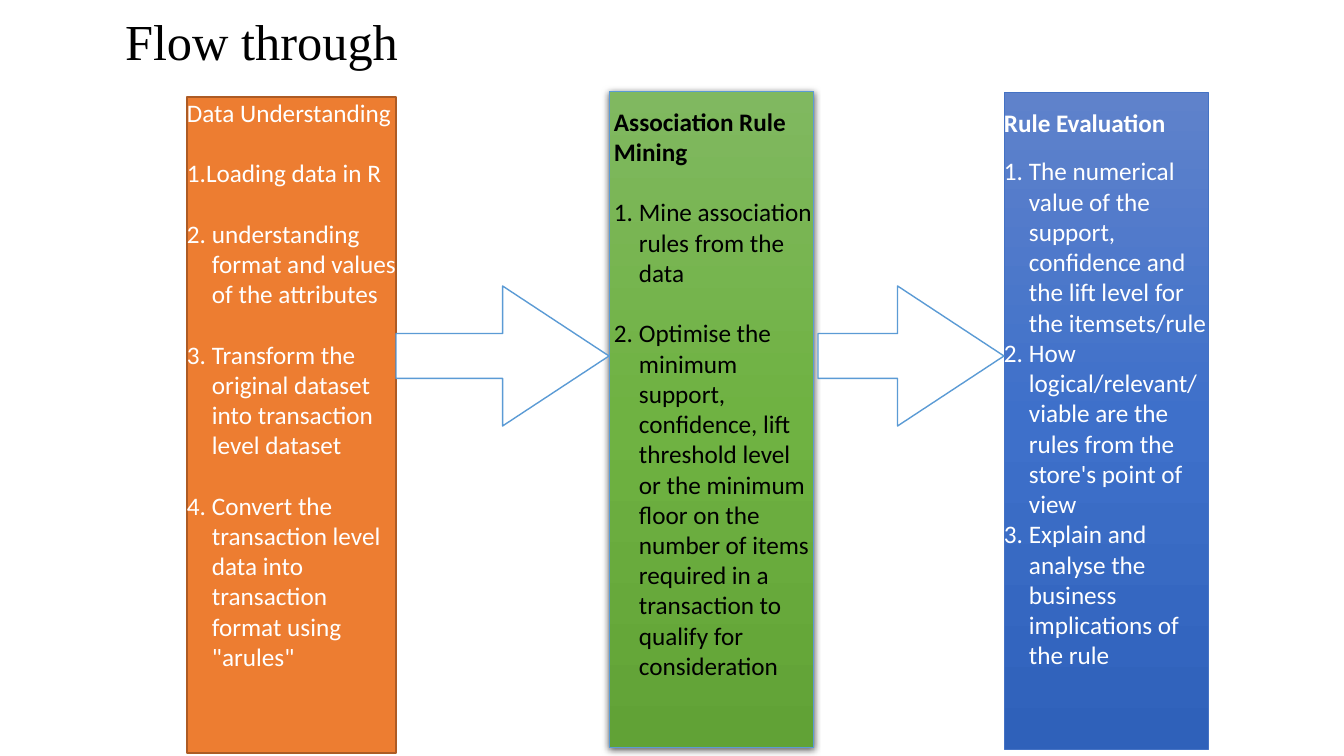
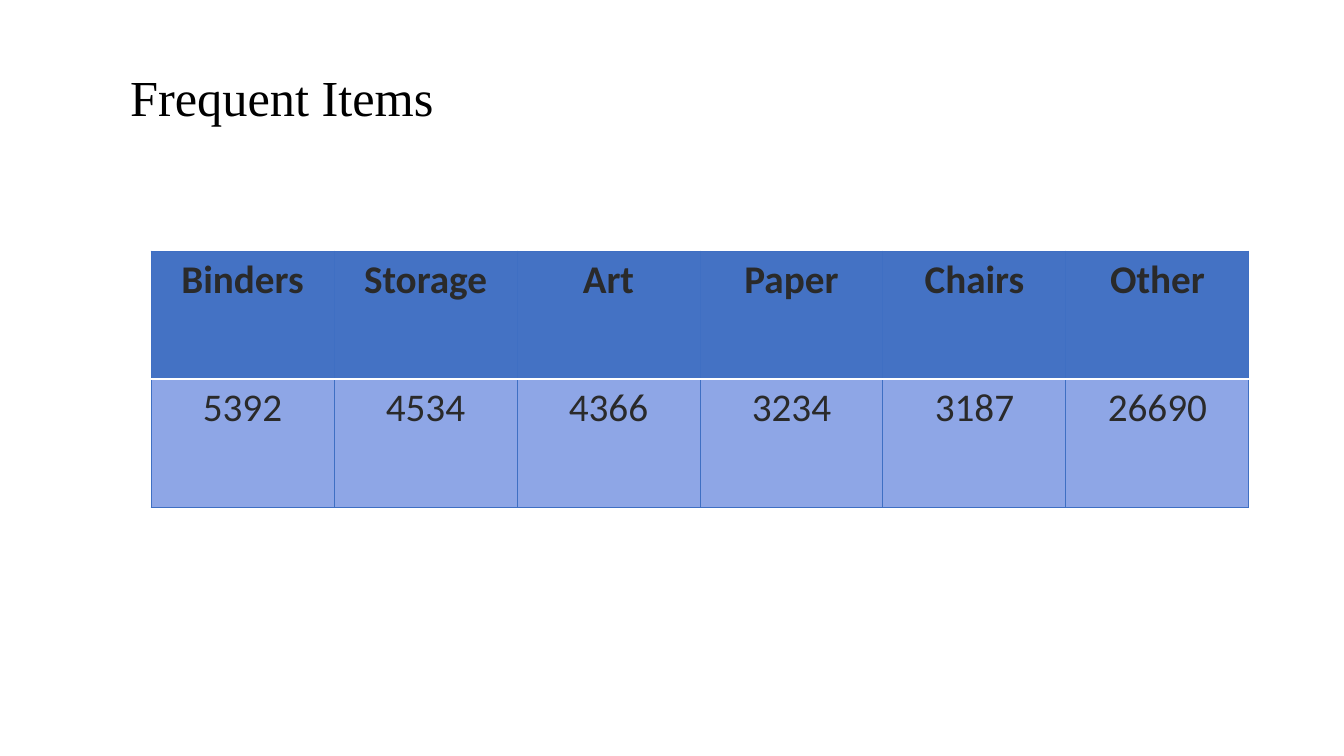
from copy import deepcopy

from lxml.etree import SubElement
from pptx import Presentation
from pptx.dml.color import RGBColor
from pptx.enum.shapes import MSO_SHAPE
from pptx.enum.text import MSO_ANCHOR, MSO_AUTO_SIZE, PP_ALIGN
from pptx.oxml.ns import qn
from pptx.util import Emu, Pt

SCALE = 914400 / 100.8
WHITE = RGBColor(0xFF, 0xFF, 0xFF)
BLACK = RGBColor(0, 0, 0)
ORANGE = RGBColor(0xED, 0x7D, 0x31)
BROWN = RGBColor(0xAD, 0x5B, 0x24)
GREENS = [RGBColor(0x80, 0xB8, 0x60), RGBColor(0x6F, 0xB2, 0x42), RGBColor(0x61, 0xA2, 0x36)]
BLUES = [RGBColor(0x5F, 0x82, 0xCB), RGBColor(0x3E, 0x70, 0xCA), RGBColor(0x2F, 0x61, 0xBA)]
SKY = RGBColor(0x5B, 0x9B, 0xD5)
BLUE = RGBColor(0x44, 0x72, 0xC4)
PALE_BLUE = RGBColor(0x8E, 0xA6, 0xE6)
GRID = RGBColor(0x3F, 0x6F, 0xC3)
INK = RGBColor(0x2A, 0x2A, 0x2A)


def px(*lengths):
    """Turn pixel lengths into a list of EMU."""
    return [Emu(round(n * SCALE)) for n in lengths]


def add_titled_slide(text, box, inset):
    """Add a title-only slide and place and format its title."""
    s = prs.slides.add_slide(prs.slide_layouts[5])
    title = s.shapes.title
    title.left, title.top, title.width, title.height = px(*box)
    tf = title.text_frame
    tf.text = text
    tf.word_wrap = True
    tf.auto_size = MSO_AUTO_SIZE.NONE
    tf.vertical_anchor = MSO_ANCHOR.MIDDLE
    tf.margin_left = tf.margin_right = tf.margin_top = tf.margin_bottom = px(inset)[0]
    p = tf.paragraphs[0]
    p.alignment = PP_ALIGN.LEFT
    p.line_spacing = 0.9
    font = p.runs[0].font
    font.name, font.size, font.color.rgb = "Times New Roman", Pt(36), BLACK
    return s


prs = Presentation()
prs.slide_width, prs.slide_height = px(1344, 756)

# Slide 1: three stages joined by arrows
s = add_titled_slide("Flow through", (125, 1, 1027, 86), 0)

# panel box, text box, fills, line, line width, text colour, bold heading,
# gap after heading, gap between items, heading, items
stages = [
    ((187, 97, 209, 656), (187, 97, 210, 611), [ORANGE], BROWN, 1, WHITE, False, 21.6, 21.6,
     "Data Understanding",
     ["Loading data in R",
      "understanding format and values of the attributes",
      "Transform the original dataset into transaction level dataset",
      "Convert the transaction level data into transaction format using \"arules\""]),
    ((609, 91, 204, 656), (614, 106, 204, 581), GREENS, SKY, 0.5, BLACK, True, 21.6, 21.6,
     "Association Rule Mining",
     ["Mine association rules from the data",
      "Optimise the minimum support, confidence, lift threshold level or the minimum "
      "floor on the number of items required in a transaction to qualify for consideration"]),
    ((1004, 92, 204, 657), (1004, 107, 204, 569), BLUES, BLUE, 0.5, WHITE, True, 13.2, 0,
     "Rule Evaluation",
     ["The numerical value of the support, confidence and the lift level for the itemsets/rule",
      "How logical/relevant/viable are the rules from the store's point of view",
      "Explain and analyse the business implications of the rule"]),
]
for (panel_box, text_box, fills, line, line_width, color, bold,
     heading_gap, item_gap, heading, items) in stages:
    panel = s.shapes.add_shape(MSO_SHAPE.RECTANGLE, *px(*panel_box))
    panel.shadow.inherit = False
    panel.line.color.rgb, panel.line.width = line, Pt(line_width)
    if len(fills) == 1:
        panel.fill.solid()
        panel.fill.fore_color.rgb = fills[0]
    else:
        panel.fill.gradient()
        panel.fill.gradient_angle = 270
        first = panel.fill._fill._gradFill.gsLst[0]
        first.addnext(deepcopy(first))
        for stop, position, shade in zip(panel.fill.gradient_stops, (0, 0.5, 1), fills):
            stop.position, stop.color.rgb = position, shade
    if fills == GREENS:
        effects = panel._element.spPr.find(qn("a:effectLst"))
        shadow = SubElement(effects, qn("a:outerShdw"), blurRad=str(Pt(5)),
                            dist=str(Pt(1.5)), dir="5400000", rotWithShape="0")
        shade = SubElement(shadow, qn("a:srgbClr"), val=str(BLACK))
        SubElement(shade, qn("a:alpha"), val="63000")

    tf = s.shapes.add_textbox(*px(*text_box)).text_frame
    tf.word_wrap = True
    tf.margin_left = tf.margin_right = tf.margin_top = tf.margin_bottom = 0
    tf.text = "\n".join([heading] + items)
    for i, p in enumerate(tf.paragraphs):
        font = p.runs[0].font
        font.name, font.size, font.color.rgb = "Calibri", Pt(18), color
        font.bold = bold and i == 0
        if i:
            p.space_before = Pt(heading_gap if i == 1 else item_gap)
            indent = px(8 if items[i - 1] == "Loading data in R" else 25)[0]
            pPr = p._p.get_or_add_pPr()
            pPr.set("marL", str(indent))
            pPr.set("indent", str(-indent))
            SubElement(pPr, qn("a:buFont"), typeface="Calibri")
            SubElement(pPr, qn("a:buAutoNum"), type="arabicPeriod")

for left, width in ((396, 213), (818, 186)):
    arrow = s.shapes.add_shape(MSO_SHAPE.RIGHT_ARROW, *px(left, 286, width, 140))
    arrow.adjustments[0], arrow.adjustments[1] = 0.32, 0.76
    arrow.shadow.inherit = False
    arrow.fill.solid()
    arrow.fill.fore_color.rgb = WHITE
    arrow.line.color.rgb, arrow.line.width = SKY, Pt(1)

# Slide 2: item counts
s = add_titled_slide("Frequent Items", (125, 31, 417, 138), 5)
rows = [["Binders", "Storage", "Art", "Paper", "Chairs", "Other"],
        ["5392", "4534", "4366", "3234", "3187", "26690"]]
table = s.shapes.add_table(2, 6, *px(151, 251, 1098, 256)).table
table.horz_banding = False
for column in table.columns:
    column.width = px(183)[0]
for i, row in enumerate(rows):
    table.rows[i].height = px(128)[0]
    for j, text in enumerate(row):
        cell = table.cell(i, j)
        cell.text = text
        p = cell.text_frame.paragraphs[0]
        p.alignment = PP_ALIGN.CENTER
        font = p.runs[0].font
        font.name, font.size, font.color.rgb = "Calibri", Pt(28), INK
        font.bold = i == 0
        tcPr = cell._tc.get_or_add_tcPr()
        for side in ("L", "R", "T", "B"):
            divider = (i, side) in ((0, "B"), (1, "T"))
            ln = SubElement(tcPr, qn("a:ln" + side), w=str(Pt(2 if divider else 0.75)))
            fill = SubElement(ln, qn("a:solidFill"))
            SubElement(fill, qn("a:srgbClr"), val=str(WHITE if divider else GRID))
        cell.fill.solid()
        cell.fill.fore_color.rgb = PALE_BLUE if i else BLUE

prs.save("out.pptx")
